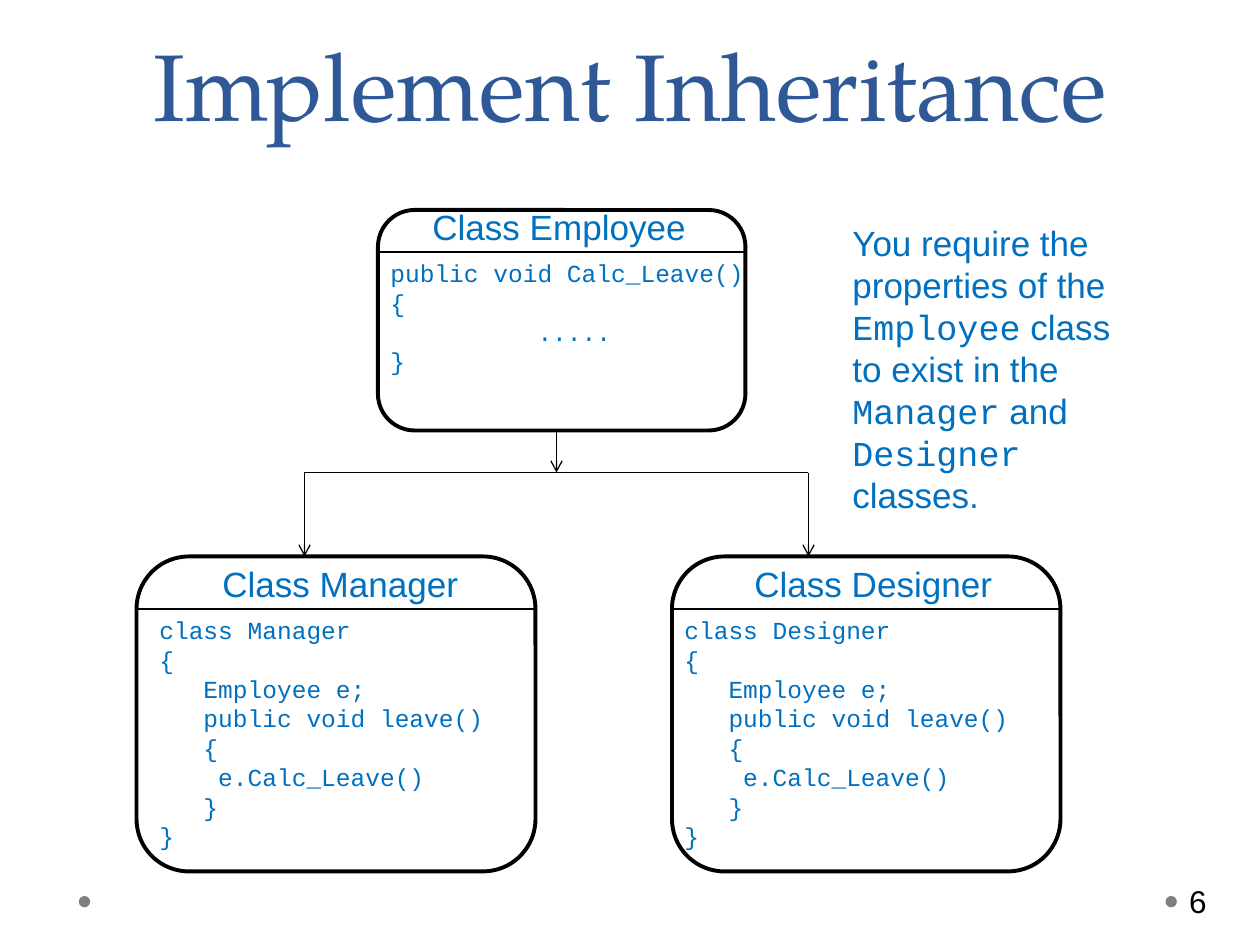
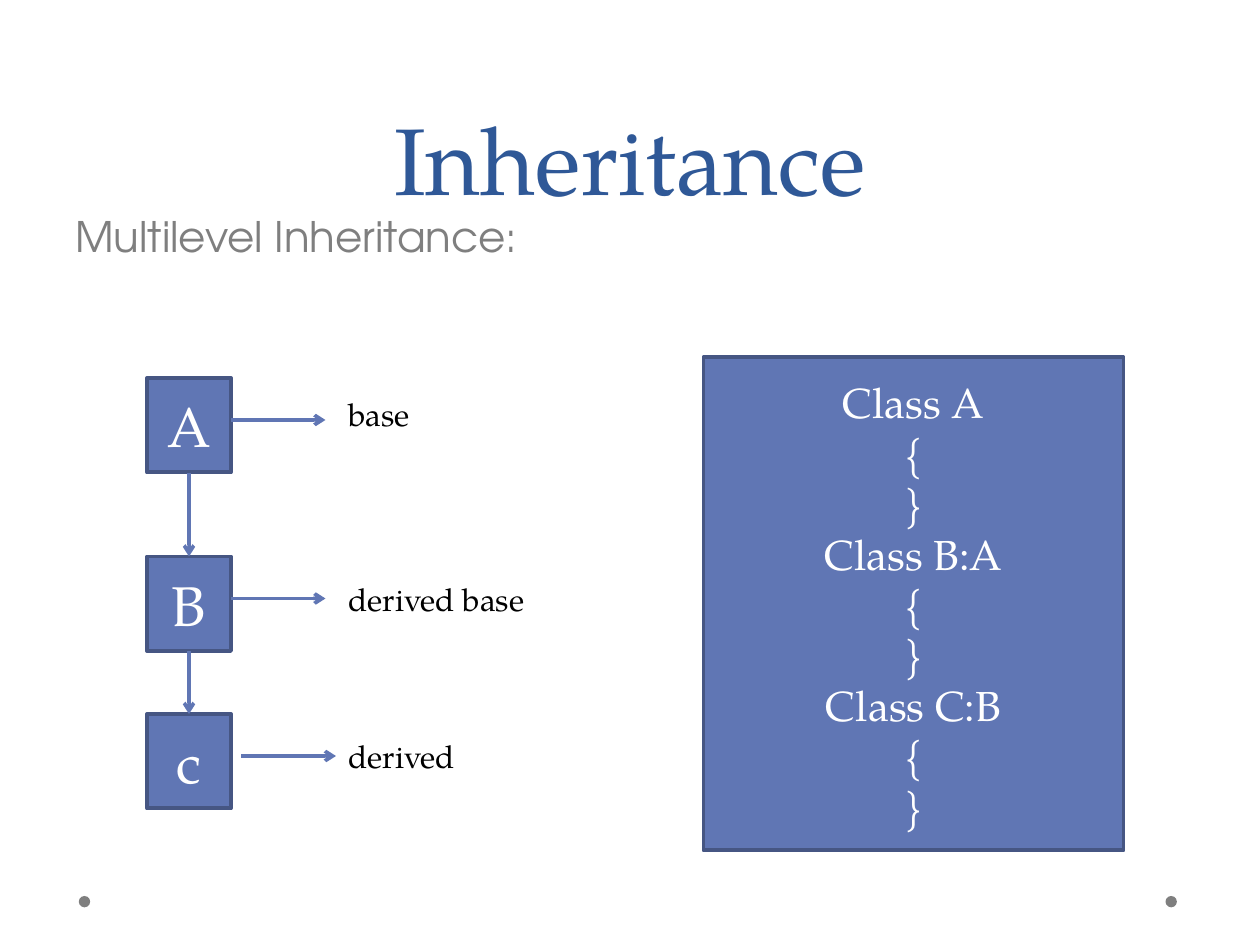
"""Build two slides on class inheritance: a class diagram and a multilevel chain."""
import lxml.etree
import pptx
import pptx.dml.color
import pptx.enum.shapes
import pptx.enum.text
import pptx.oxml.ns
import pptx.util

Pt = pptx.util.Pt
shade = pptx.dml.color.RGBColor.from_string
qn = pptx.oxml.ns.qn
SHAPES = pptx.enum.shapes.MSO_SHAPE
STRAIGHT = pptx.enum.shapes.MSO_CONNECTOR.STRAIGHT
ANCHOR = pptx.enum.text.MSO_ANCHOR
ALIGN = pptx.enum.text.PP_ALIGN

TITLE_BLUE, TEXT_BLUE = "2F5897", "0070C0"
BLOCK_BLUE, BLOCK_EDGE = "6076B4", "465683"
BLACK, WHITE, GREY = "000000", "FFFFFF", "7F7F7F"
SERIF, SANS, MONO, ROUND_SANS = "TeX Gyre Pagella", "Arial", "Courier New", "TeX Gyre Adventor"


def add_box(slide, bounds, lines, size, font, color, align=ALIGN.LEFT, anchor=ANCHOR.TOP,
            outline=None, fill=None, edge=None):
    """Add a text box, or a filled preset shape when an outline is given."""
    place = [Pt(value) for value in bounds]
    if outline is None:
        box = slide.shapes.add_textbox(*place)
    else:
        box = slide.shapes.add_shape(outline, *place)
        box.shadow.inherit = False
        box.fill.solid()
        box.fill.fore_color.rgb = shade(fill)
        if edge:
            box.line.color.rgb = shade(edge)
            box.line.width = Pt(2.25)
        else:
            box.line.fill.background()
    frame = box.text_frame
    frame.word_wrap = True
    frame.vertical_anchor = anchor
    for index, line in enumerate(lines):
        paragraph = frame.add_paragraph() if index else frame.paragraphs[0]
        paragraph.text = line
        paragraph.alignment = align
        paragraph.font.size = Pt(size)
        paragraph.font.name = font
        paragraph.font.color.rgb = shade(color)
    return box


def add_line(slide, x1, y1, x2, y2, color=BLACK, width=0.75, arrow=True):
    """Add a straight line, by default with an open arrowhead at its end."""
    line = slide.shapes.add_connector(STRAIGHT, Pt(x1), Pt(y1), Pt(x2), Pt(y2))
    line.line.color.rgb = shade(color)
    line.line.width = Pt(width)
    properties = line._element.spPr
    if arrow:
        lxml.etree.SubElement(properties.find(qn("a:ln")), qn("a:tailEnd"), type="arrow")
    lxml.etree.SubElement(properties, qn("a:effectLst"))
    return line


deck = pptx.Presentation()
deck.slide_width, deck.slide_height = Pt(720), Pt(540)

slides = []
for heading, heading_height in [("Implement Inheritance", 84), ("Inheritance", 126)]:
    slide = deck.slides.add_slide(deck.slide_layouts[6])
    for dot_left in (666, 45):
        add_box(slide, (dot_left, 512, 6.5, 6.5), [], 18, SANS, BLACK,
                outline=SHAPES.OVAL, fill=GREY)
    title = add_box(slide, (36, 0, 648, heading_height), [heading], 54, SERIF, TITLE_BLUE,
                    ALIGN.CENTER, ANCHOR.BOTTOM)
    title.text_frame.paragraphs[0].line_spacing = Pt(58)
    slides.append(slide)
diagram, multilevel = slides

add_box(diagram, (672.5, 500.4, 44, 29), ["6"], 18, SANS, BLACK)

leave_body = ["{", "   Employee e;", "   public void leave()", "   {",
              "    e.Calc_Leave()", "   }", "}"]
employee_code = ["public void Calc_Leave()", "{", "          .....", "}"]
classes = [
    ("Employee", (216, 120, 210, 126), (240, 114), (216, 144), employee_code),
    ("Manager", (78, 318, 228, 180), (120, 318), (84, 348), ["class Manager"] + leave_body),
    ("Designer", (384, 318, 222, 180), (424, 318), (384, 348), ["class Designer"] + leave_body),
]
for name, card, name_corner, code_corner, code in classes:
    add_box(diagram, card, [], 14, MONO, TEXT_BLUE,
            outline=SHAPES.ROUNDED_RECTANGLE, fill=WHITE, edge=BLACK)
    divider = code_corner[1]
    add_line(diagram, card[0], divider, card[0] + card[2], divider, arrow=False)
    add_box(diagram, (*name_corner, 170, 32), [f"Class {name}"], 20, SANS, TEXT_BLUE)
    add_box(diagram, (*code_corner, 250, 20 + 16 * len(code)), code, 14, MONO, TEXT_BLUE)

add_line(diagram, 174, 270, 462, 270, arrow=False)
add_line(diagram, 318, 247, 318, 270)
for branch in (174, 462):
    add_line(diagram, branch, 270, branch, 318)

requirement = add_box(diagram, (480, 123, 168, 176), [""], 20, SANS, TEXT_BLUE)
for words, font in [("You require the properties of the ", SANS), ("Employee", MONO),
                    (" class to exist in the ", SANS), ("Manager", MONO), (" and ", SANS),
                    ("Designer", MONO), (" classes.", SANS)]:
    run = requirement.text_frame.paragraphs[0].add_run()
    run.text = words
    run.font.name = font

add_box(multilevel, (36, 117, 648, 40), ["Multilevel Inheritance:"], 24, ROUND_SANS, GREY)

block = dict(font=SERIF, color=WHITE, align=ALIGN.CENTER, anchor=ANCHOR.MIDDLE,
             outline=SHAPES.RECTANGLE, fill=BLOCK_BLUE, edge=BLOCK_EDGE)
parent = None
for letter, top, role, role_top, arrow_left in [("A", 216, "base", 222, 132),
                                                ("B", 318, "derived base", 327.6, 132),
                                                ("c", 408, "derived", 417.6, 138)]:
    level = add_box(multilevel, (84, top, 48, 54), [letter], 32, **block)
    add_line(multilevel, arrow_left, top + 24, arrow_left + 54, top + 24, BLOCK_BLUE, 2)
    add_box(multilevel, (192, role_top, 130, 29), [role], 18, SERIF, BLACK)
    if parent:
        link = add_line(multilevel, 108, top - 30, 108, top, BLOCK_BLUE, 2)
        link.begin_connect(parent, 2)
        link.end_connect(level, 0)
    parent = level

declarations = []
for declaration in ("Class A", "Class B:A", "Class C:B"):
    declarations += [declaration, "{", "}"]
add_box(multilevel, (402, 204, 240, 282), declarations, 24, **block)

deck.save("out.pptx")
